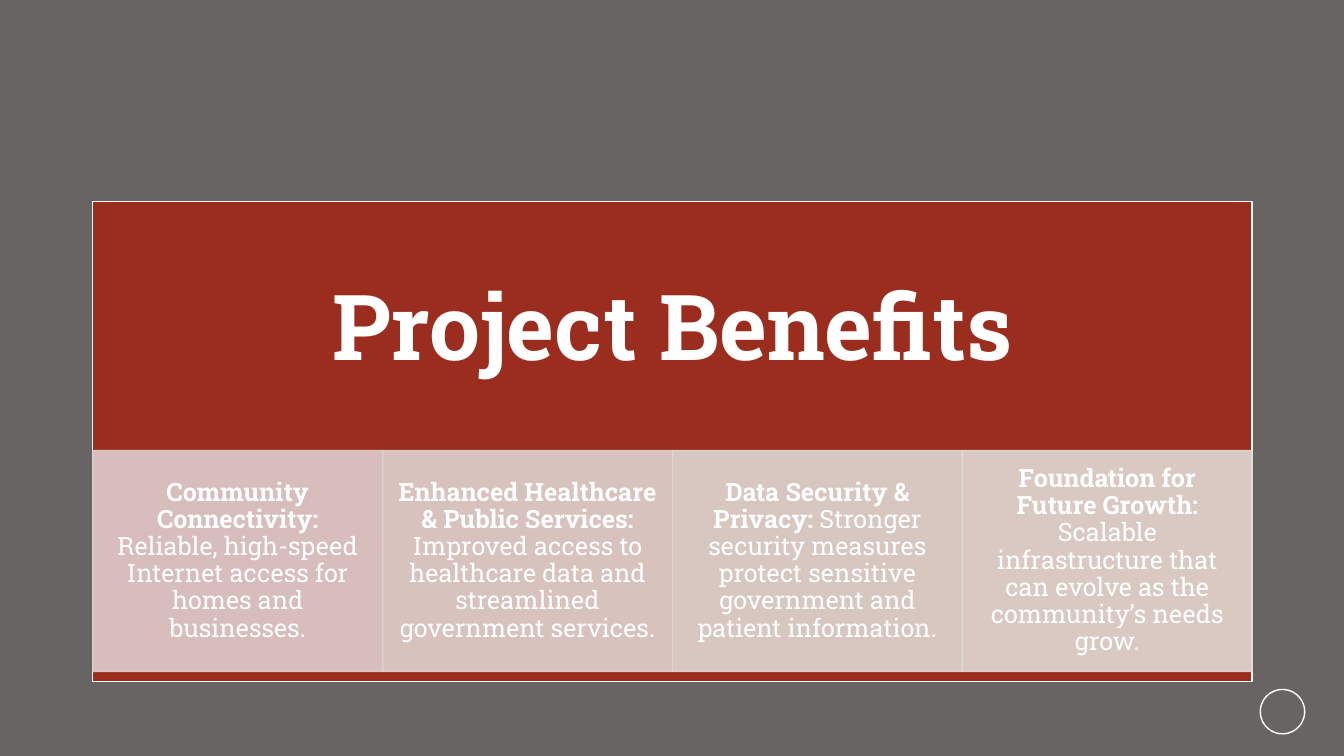
"""Build the Project Benefits slide: a title panel above four benefit cards."""
from lxml import etree
from pptx import Presentation
from pptx.dml import color
from pptx.enum import shapes, text
from pptx.oxml import ns
from pptx.util import Inches, Pt

WHITE, RED, GREY = "FFFFFF", "9B2D1F", "696464"
LEFT, TOP, WIDTH = 0.92, 2, 11.5
CARD_TOP, CARD_HEIGHT = 4.47, 2.19
BENEFITS = [
    ("DECDCD", "Community Connectivity:",
     " Reliable, high-speed Internet access for homes and businesses."),
    ("DFD3CF", "Enhanced Healthcare & Public Services:",
     " Improved access to healthcare data and streamlined government services."),
    ("DFD7D2", "Data Security & Privacy:",
     " Stronger security measures protect sensitive government and patient information."),
    ("E0DBD4", "Foundation for Future Growth:",
     " Scalable infrastructure that can evolve as the community’s needs grow."),
]


def paint(target, hex_color, opacity=100):
    target.solid()
    target.fore_color.rgb = color.RGBColor.from_string(hex_color)
    if opacity < 100:
        for srgb in target._xPr.iter(ns.qn("a:srgbClr")):
            etree.SubElement(srgb, ns.qn("a:alpha"), val=str(opacity * 1000))


def write(shape, runs, size, inset_x, inset_y):
    frame = shape.text_frame
    frame_format = {
        "word_wrap": True, "vertical_anchor": text.MSO_ANCHOR.MIDDLE,
        "margin_left": Inches(inset_x), "margin_right": Inches(inset_x),
        "margin_top": Inches(inset_y), "margin_bottom": Inches(inset_y),
    }
    for name, value in frame_format.items():
        setattr(frame, name, value)
    paragraph = frame.paragraphs[0]
    paragraph.alignment = text.PP_ALIGN.CENTER
    paragraph.line_spacing = 0.9
    for words, bold in runs:
        run = paragraph.add_run()
        run.text = words
        for name, value in {"name": "Roboto Slab", "size": Pt(size), "bold": bold}.items():
            setattr(run.font, name, value)
        paint(run.font.fill, WHITE)


presentation = Presentation()
presentation.slide_width, presentation.slide_height = Inches(13.33), Inches(7.5)
slide = presentation.slides.add_slide(presentation.slide_layouts[6])
paint(slide.background.fill, GREY)

circle = slide.shapes.add_shape(
    shapes.MSO_SHAPE.OVAL, Inches(12.5), Inches(6.84), Inches(0.44), Inches(0.44))
circle.fill.background()
panel = slide.shapes.add_shape(
    shapes.MSO_SHAPE.RECTANGLE, Inches(LEFT), Inches(TOP), Inches(WIDTH), Inches(4.76))
paint(panel.fill, RED)
for shape in (circle, panel):
    shape.shadow.inherit = False
    paint(shape.line.fill, WHITE)
    shape.line.width = Pt(1)

title = slide.shapes.add_textbox(Inches(LEFT), Inches(TOP), Inches(WIDTH), Inches(2.57))
write(title, [("Project Benefits", True)], 65, 0.51, 0.51)

card_width = WIDTH / len(BENEFITS)
for index, (tint, heading, detail) in enumerate(BENEFITS):
    card = slide.shapes.add_shape(
        shapes.MSO_SHAPE.RECTANGLE, Inches(LEFT + index * card_width), Inches(CARD_TOP),
        Inches(card_width), Inches(CARD_HEIGHT))
    card.shadow.inherit = False
    card.line.width = Pt(1)
    paint(card.line.fill, tint, 90)
    paint(card.fill, tint)
    fill_color = card.fill._xPr.find(ns.qn("a:solidFill"))[0]
    etree.SubElement(fill_color, ns.qn("a:alpha"), val="90000")
    write(card, [(heading, True), (detail, False)], 18, 0.14, 0.03)

presentation.save("out.pptx")
